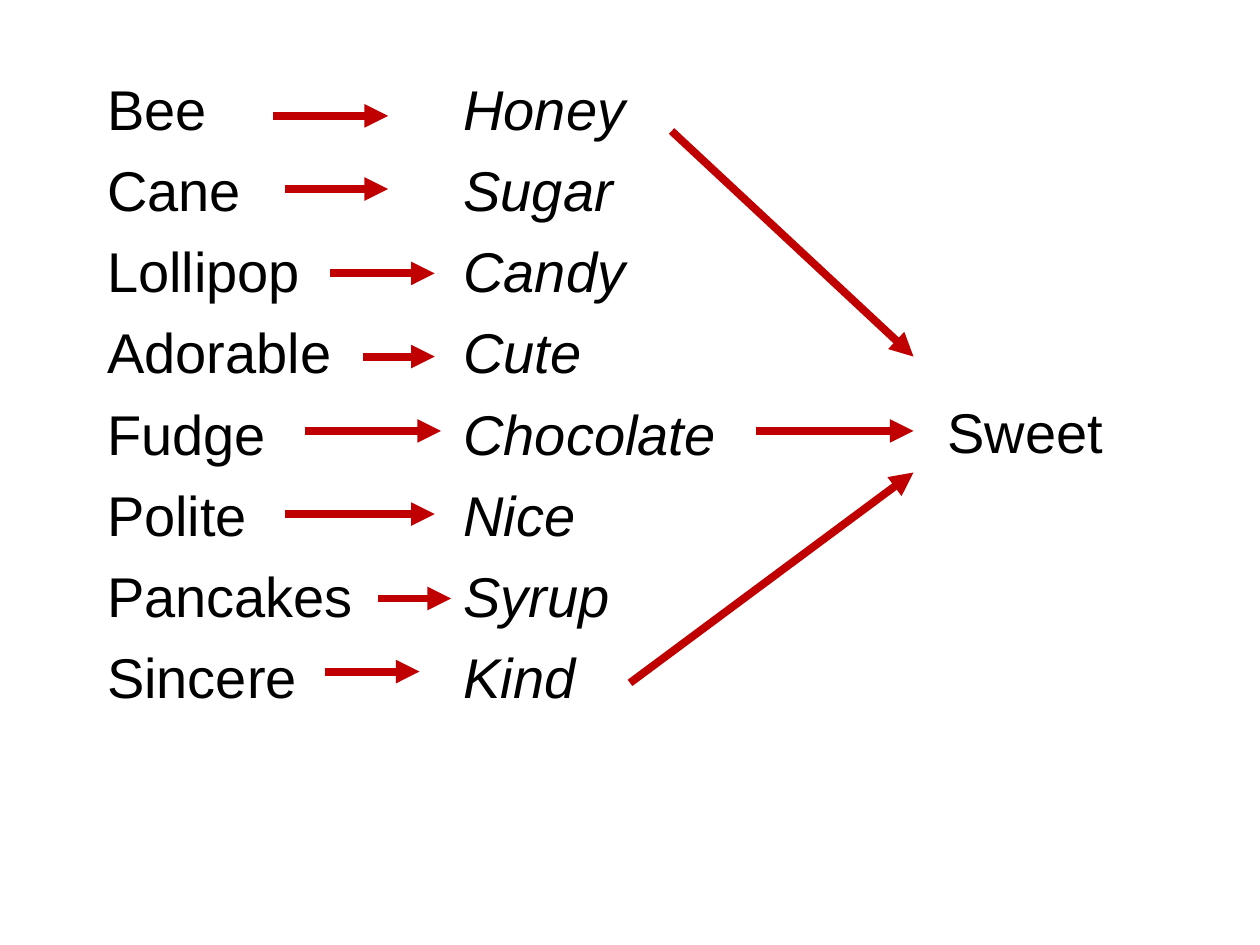
from dataclasses import dataclass

from lxml import etree
from pptx import Presentation
from pptx.dml.color import RGBColor
from pptx.enum import shapes, text
from pptx.oxml.ns import qn
from pptx.util import Inches, Pt

BLACK = RGBColor(0x00, 0x00, 0x00)
RED = RGBColor(0xC0, 0x00, 0x00)
TOP, WIDTH, HEIGHT = 0.54, 2.83, 6.42


@dataclass
class Pair:
    clue: str
    word: str
    start: float
    end: float
    y: float


@dataclass
class Arrow:
    x1: float
    y1: float
    x2: float
    y2: float


PAIRS = [
    Pair("Bee", "Honey", 2.17, 3.08, 0.92),
    Pair("Cane", "Sugar", 2.26, 3.08, 1.5),
    Pair("Lollipop", "Candy", 2.62, 3.45, 2.17),
    Pair("Adorable", "Cute", 2.88, 3.45, 2.83),
    Pair("Fudge", "Chocolate", 2.42, 3.5, 3.42),
    Pair("Polite", "Nice", 2.26, 3.45, 4.08),
    Pair("Pancakes", "Syrup", 3, 3.58, 4.75),
    Pair("Sincere", "Kind", 2.58, 3.33, 5.33),
]
LINKS = [
    Arrow(5.33, 1.04, 7.25, 2.83),
    Arrow(6, 3.42, 7.25, 3.42),
    Arrow(5, 5.42, 7.25, 3.75),
]


def place(shape, left: float, top: float, width: float, height: float) -> None:
    shape.left, shape.top = Inches(left), Inches(top)
    shape.width, shape.height = Inches(width), Inches(height)


def fill_list(shape, words: list[str], italic: bool = False) -> None:
    """Write one unbulleted paragraph per word."""
    frame = shape.text_frame
    frame.word_wrap = True
    frame.auto_size = text.MSO_AUTO_SIZE.NONE
    frame.text = "\n".join(words)
    for i, para in enumerate(frame.paragraphs):
        props = para._p.get_or_add_pPr()
        props.set("marL", "0")
        props.set("indent", "0")
        etree.SubElement(props, qn("a:buNone"))
        para.space_before = Pt(8 if i else 0)
        font = para.runs[0].font
        font.name, font.size, font.italic = "Arial", Pt(32), italic
        font.color.rgb = BLACK


def draw_arrow(slide, arrow: Arrow) -> None:
    line = slide.shapes.add_connector(
        shapes.MSO_CONNECTOR.STRAIGHT,
        Inches(arrow.x1), Inches(arrow.y1), Inches(arrow.x2), Inches(arrow.y2))
    line.line.color.rgb = RED
    line.line.width = Pt(4.5)
    etree.SubElement(line.line._get_or_add_ln(), qn("a:tailEnd"), type="triangle")
    etree.SubElement(line._element.spPr, qn("a:effectLst"))


def main() -> None:
    deck = Presentation()
    deck.slide_width, deck.slide_height = Inches(10), Inches(7.5)
    slide = deck.slides.add_slide(deck.slide_layouts[1])
    title = slide.shapes.title._element
    title.getparent().remove(title)

    clues = slide.placeholders[1]
    place(clues, 0.75, TOP, WIDTH, HEIGHT)
    fill_list(clues, [pair.clue for pair in PAIRS])

    words = slide.shapes.add_textbox(0, 0, 0, 0)
    place(words, 0.75 + WIDTH, TOP, WIDTH, HEIGHT)
    fill_list(words, [pair.word for pair in PAIRS], italic=True)

    theme = slide.shapes.add_textbox(0, 0, 0, 0)
    place(theme, 7.42, 3.11, 2.25, 0.64)
    fill_list(theme, ["Sweet"])
    theme.text_frame.auto_size = text.MSO_AUTO_SIZE.SHAPE_TO_FIT_TEXT

    steps = [Arrow(pair.start, pair.y, pair.end, pair.y) for pair in PAIRS]
    for arrow in steps + LINKS:
        draw_arrow(slide, arrow)

    deck.save("out.pptx")


if __name__ == "__main__":
    main()
